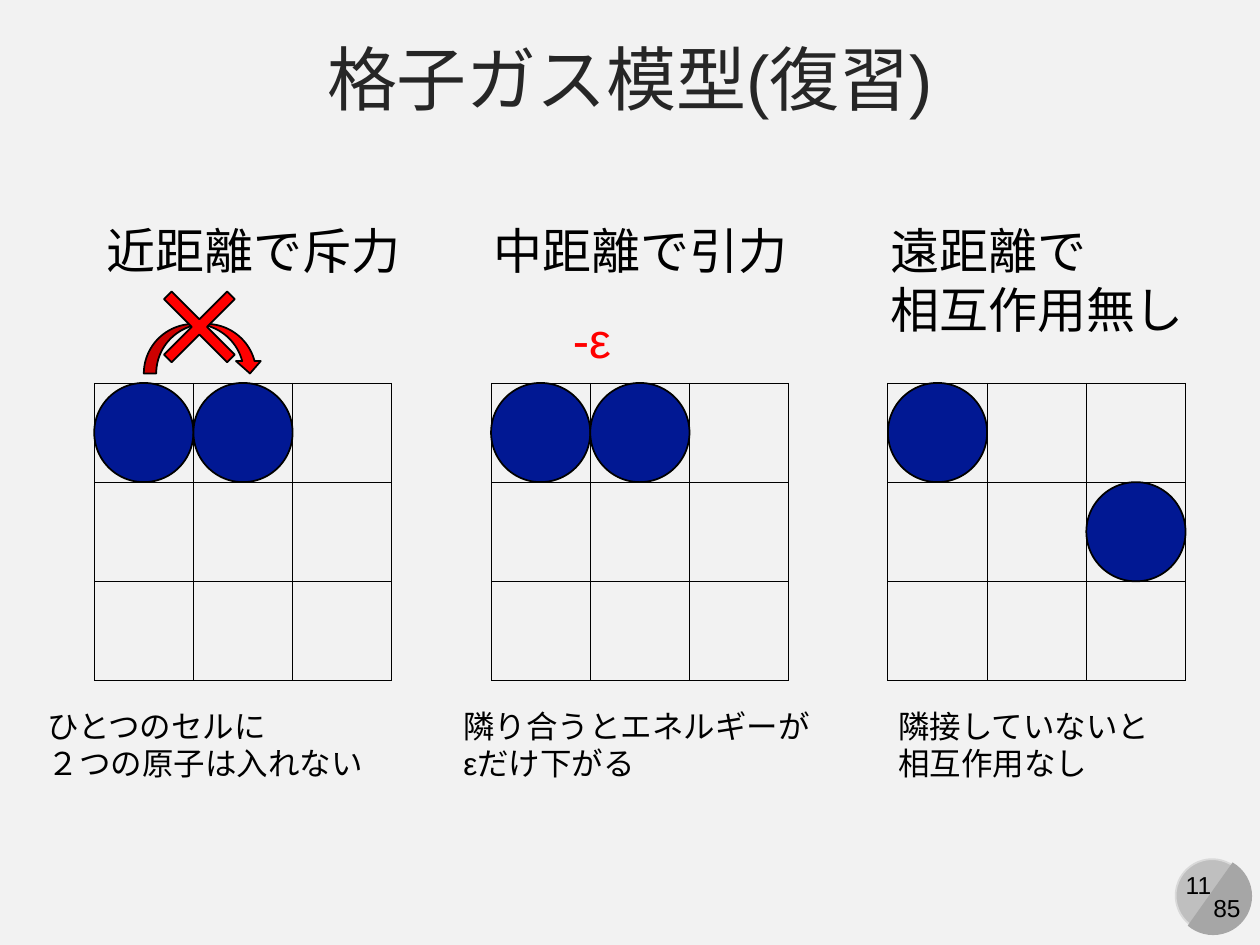
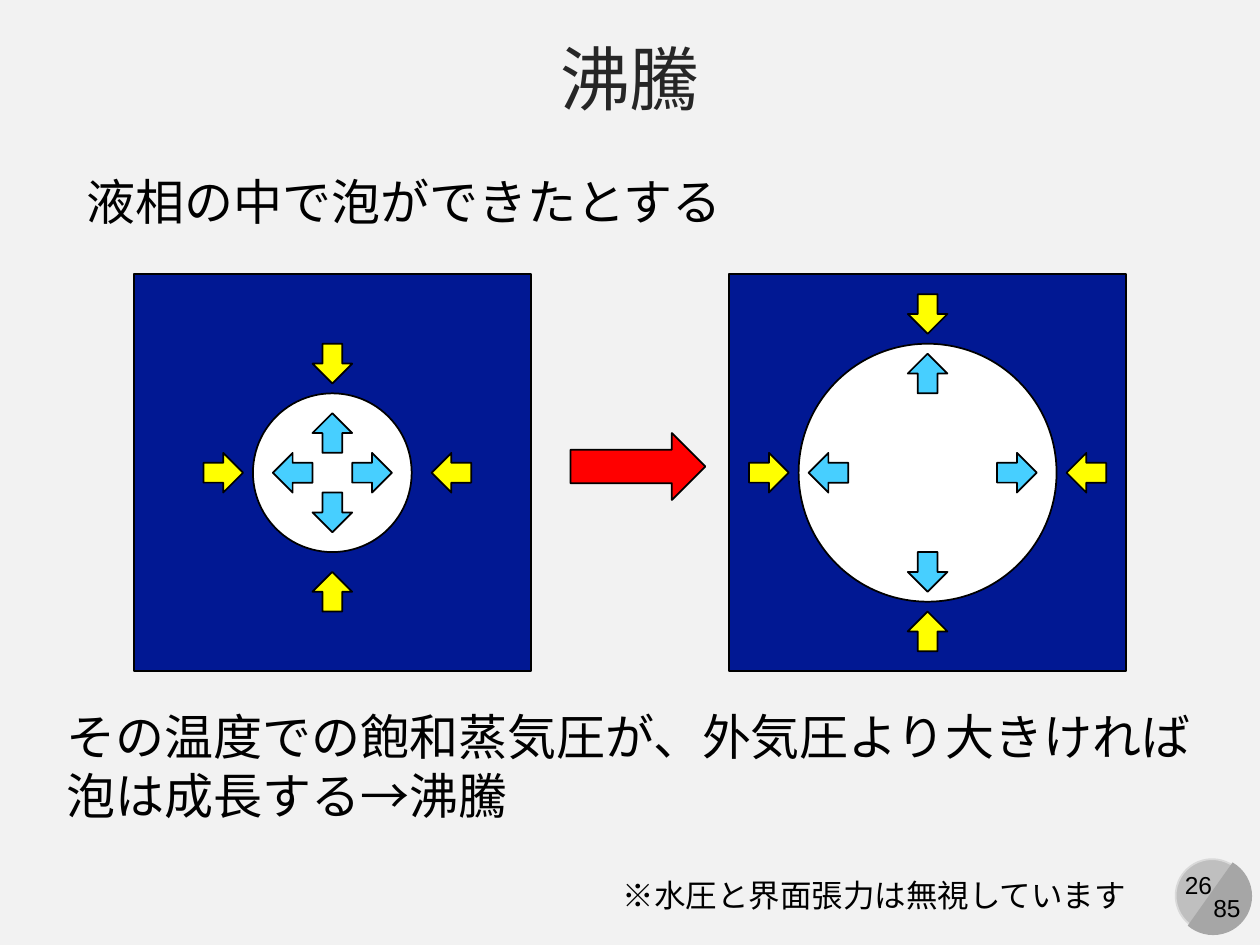
from lxml.etree import SubElement
from pptx import Presentation
from pptx.dml.color import RGBColor
from pptx.enum.shapes import MSO_CONNECTOR, MSO_SHAPE
from pptx.enum.text import MSO_ANCHOR, MSO_AUTO_SIZE, PP_ALIGN
from pptx.oxml.ns import qn
from pptx.util import Cm, Pt

BLACK = RGBColor(0x00, 0x00, 0x00)
WHITE = RGBColor(0xFF, 0xFF, 0xFF)
INK = RGBColor(0x26, 0x26, 0x26)
PAPER = RGBColor(0xF2, 0xF2, 0xF2)
NAVY = RGBColor(0x01, 0x18, 0x93)
RED = RGBColor(0xFF, 0x00, 0x00)
YELLOW = RGBColor(0xFF, 0xFF, 0x00)
SKY = RGBColor(0x47, 0xCF, 0xFF)
RIM = RGBColor(0xD9, 0xD9, 0xD9)
DISK = RGBColor(0xBF, 0xBF, 0xBF)
SHADE = RGBColor(0xA6, 0xA6, 0xA6)
FONT = "Arial"


def draw(slide, kind, x, y, w, h, fill, line=BLACK, turn=0):
    """Add a filled preset shape; line None leaves out the outline."""
    shape = slide.shapes.add_shape(kind, Cm(x), Cm(y), Cm(w), Cm(h))
    shape.shadow.inherit = False
    shape.rotation = turn
    shape.fill.solid()
    shape.fill.fore_color.rgb = fill
    if line is None:
        shape.line.fill.background()
    else:
        shape.line.color.rgb = line
        shape.line.width = Pt(1)
    return shape


def write(slide, x, y, w, h, lines, size, color=BLACK, align=PP_ALIGN.LEFT):
    """Add an unwrapped text box with one paragraph per line."""
    frame = slide.shapes.add_textbox(Cm(x), Cm(y), Cm(w), Cm(h)).text_frame
    frame.word_wrap = False
    frame.auto_size = MSO_AUTO_SIZE.SHAPE_TO_FIT_TEXT
    for i, line in enumerate(lines):
        para = frame.add_paragraph() if i else frame.paragraphs[0]
        para.alignment = align
        run = para.add_run()
        run.text = line
        run.font.name = FONT
        run.font.size = Pt(size)
        run.font.color.rgb = color


deck = Presentation()
deck.slide_width, deck.slide_height = Cm(25.4), Cm(19.05)

# Background, title and page badge
slides = []
for name, page in (("格子ガス模型(復習)", "11"), ("沸騰", "26")):
    slide = deck.slides.add_slide(deck.slide_layouts[5])
    slide.background.fill.solid()
    slide.background.fill.fore_color.rgb = PAPER

    title = slide.shapes.title
    title.left, title.top, title.width, title.height = Cm(0), Cm(0.53), Cm(25.4), Cm(2.08)
    frame = title.text_frame
    frame.auto_size = MSO_AUTO_SIZE.NONE
    frame.vertical_anchor = MSO_ANCHOR.MIDDLE
    frame.paragraphs[0].alignment = PP_ALIGN.CENTER
    run = frame.paragraphs[0].add_run()
    run.text = name
    run.font.name = FONT
    run.font.size = Pt(40)
    run.font.color.rgb = INK

    draw(slide, MSO_SHAPE.OVAL, 23.7, 17.32, 1.47, 1.47, DISK, RIM)
    chord = draw(slide, MSO_SHAPE.CHORD, 23.67, 17.28, 1.57, 1.57, SHADE, None, 255)
    chord.adjustments[0] = 27
    chord.adjustments[1] = 141.42
    write(slide, 23.6, 17.42, 1.12, 0.86, [page], 14, align=PP_ALIGN.CENTER)
    write(slide, 24.2, 17.88, 1.07, 0.86, ["85"], 14, align=PP_ALIGN.CENTER)
    slides.append(slide)

gas, boil = slides

# Lattice gas: three grids with their atoms as (column, row)
CELL, COUNT, TOP = 2, 3, 7.72
SIDE = CELL * COUNT
for i, atoms in enumerate((((0, 0), (1, 0)), ((0, 0), (1, 0)), ((0, 0), (2, 1)))):
    left = 1.9 + 8 * i
    ends = []
    for n in range(COUNT + 1):
        step = n * CELL
        ends.append((left + step, TOP, left + step, TOP + SIDE))
        ends.append((left, TOP + step, left + SIDE, TOP + step))
    for end in ends:
        rule = gas.shapes.add_connector(MSO_CONNECTOR.STRAIGHT, *map(Cm, end))
        rule.line.color.rgb = BLACK
        rule.line.width = Pt(0.5)
        SubElement(rule._element.spPr, qn("a:effectLst"))
    for col, row in atoms:
        draw(gas, MSO_SHAPE.OVAL, left + col * CELL, TOP + row * CELL, CELL, CELL, NAVY)

draw(gas, MSO_SHAPE.CURVED_DOWN_ARROW, 2.9, 6.53, 2.39, 1, RED)
cross = draw(gas, MSO_SHAPE.CROSS, 3.12, 5.69, 1.8, 1.8, RED, turn=45)
cross.adjustments[0] = 0.44

for x, lines in ((1.9, ["近距離で斥力"]), (9.7, ["中距離で引力"]),
                 (17.7, ["遠距離で", "相互作用無し"])):
    write(gas, x, 4.32, 6.5, 1.45 if len(lines) == 1 else 2.64, lines, 28)
write(gas, 11.3, 6.12, 1.3, 1.45, ["-ε"], 28, RED)
for x, w, lines in ((0.71, 6.93, ["ひとつのセルに", "２つの原子は入れない"]),
                    (9.09, 7.57, ["隣り合うとエネルギーが", "εだけ下がる"]),
                    (17.86, 5.64, ["隣接していないと", "相互作用なし"])):
    write(gas, x, 14.12, w, 1.8, lines, 18)

# Boiling: a small bubble grows; pushes are distances up, right, down, left
TANK, MID, ARROW = 8, 9.53, 0.8
WAYS = ((0, -1), (1, 0), (0, 1), (-1, 0))
for mid, size, inner, outer in (
        (6.7, 3.2, (0.8, 0.8, 0.8, 0.8), (2.2, 2.4, 2.4, 2.2)),
        (18.7, 5.2, (2, 1.8, 2, 2), (3.2, 3.2, 3.2, 3.2))):
    for kind, wide, fill in ((MSO_SHAPE.RECTANGLE, TANK, NAVY), (MSO_SHAPE.OVAL, size, WHITE)):
        draw(boil, kind, mid - wide / 2, MID - wide / 2, wide, wide, fill)
    for push, fill, flip in ((inner, SKY, 0), (outer, YELLOW, 180)):
        for n, (dx, dy) in enumerate(WAYS):
            draw(boil, MSO_SHAPE.UP_ARROW,
                 mid + dx * push[n] - ARROW / 2, MID + dy * push[n] - ARROW / 2,
                 ARROW, ARROW, fill, turn=(90 * n + flip) % 360)
draw(boil, MSO_SHAPE.RIGHT_ARROW, 11.5, 8.73, 2.72, 1.35, RED)

write(boil, 1.5, 3.33, 13.49, 1.45, ["液相の中で泡ができたとする"], 28)
write(boil, 1.1, 14.12, 23.44, 2.64,
      ["その温度での飽和蒸気圧が、外気圧より大きければ", "泡は成長する→沸騰"], 28)
write(boil, 12.3, 17.53, 10.77, 1.02, ["※水圧と界面張力は無視しています"], 18)

deck.save("out.pptx")
